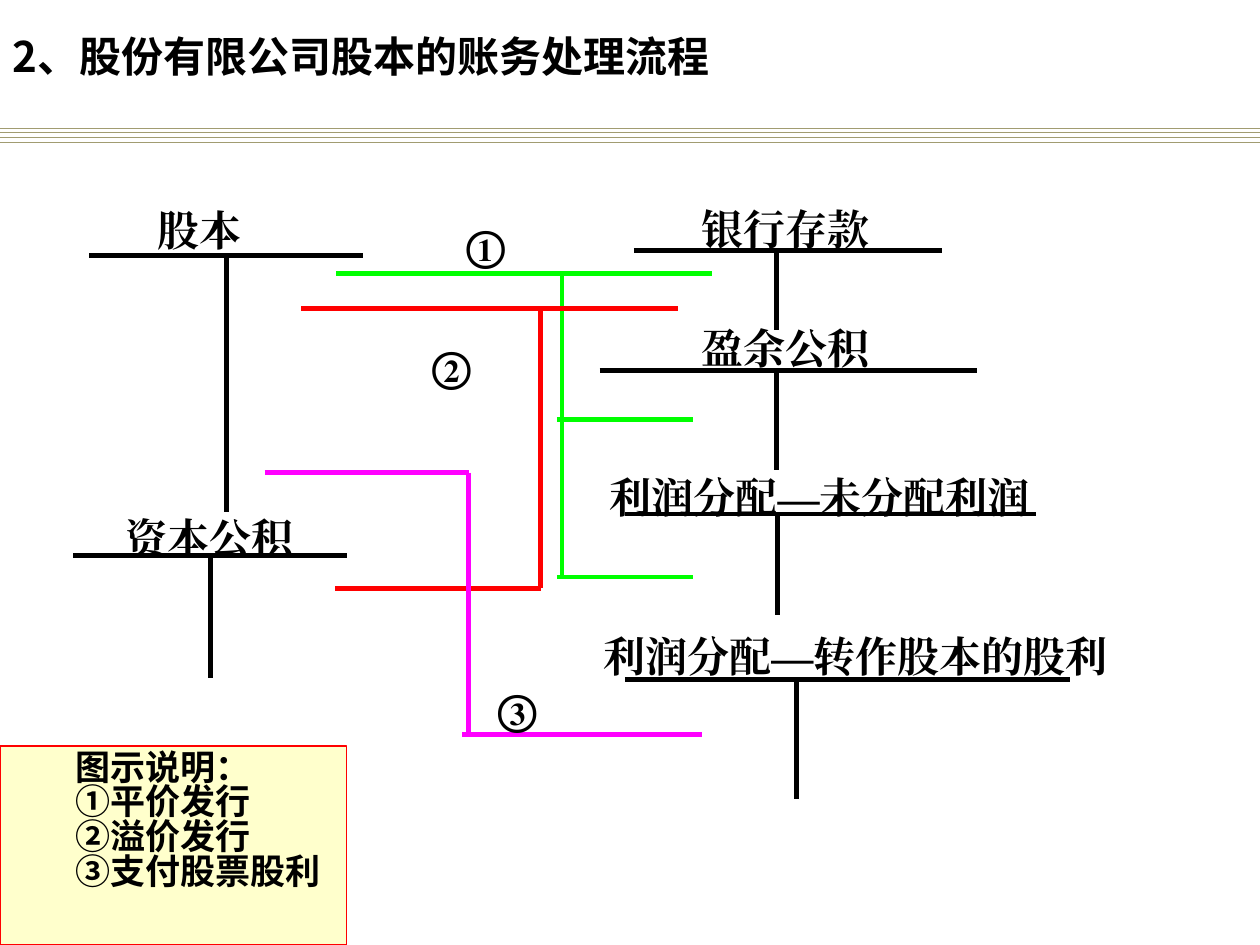
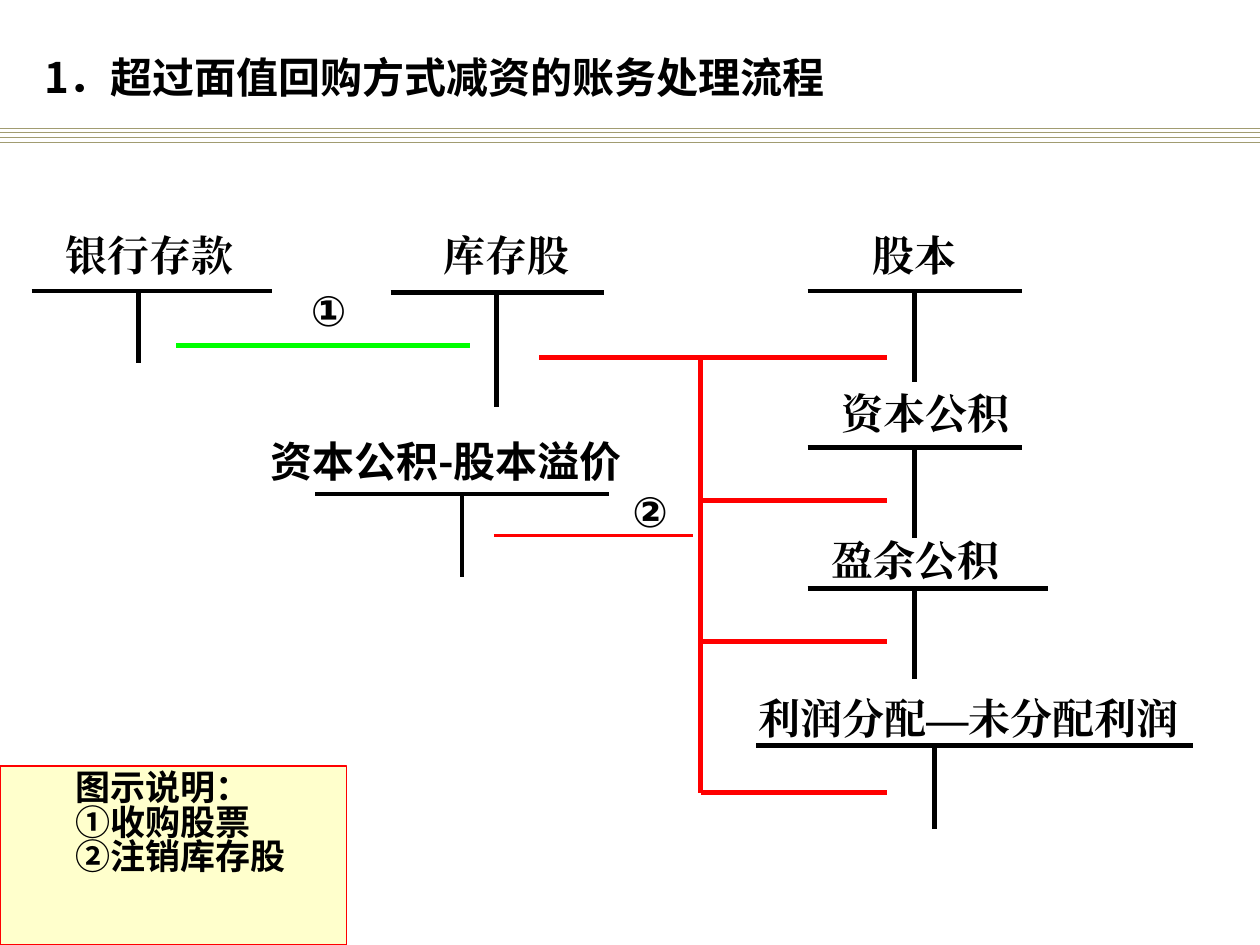
from dataclasses import dataclass
from itertools import pairwise

from lxml import etree
from pptx import Presentation
from pptx import util as u
from pptx.dml.color import RGBColor
from pptx.enum import lang, shapes, text
from pptx.oxml import ns

Inches = u.Inches


@dataclass(frozen=True)
class Theme:
    ink: str = "000000"
    band: str = "A19C71"
    par: str = "00FF00"
    premium: str = "FF0000"
    dividend: str = "FF00FF"
    note_fill: str = "FFFFCC"
    note_line: str = "FF0000"
    sans: str = "Noto Sans CJK SC"
    serif: str = "Times New Roman"
    latin: str = "Arial"
    label_size: int = 24
    note_size: int = 20
    thick: float = 2.75
    medium: float = 2.25
    thin: float = 0.75


class Deck:
    def __init__(self, theme):
        self.theme = theme
        self.prs = Presentation()
        self.prs.slide_width, self.prs.slide_height = Inches(10), Inches(7.5)
        self.layout = self.prs.slide_layouts.get_by_name("Title Only")
        self.s = None

    def add_slide(self, title, left, top, width, height):
        self.s = self.prs.slides.add_slide(self.layout)
        if len(self.prs.slides) == 1:
            self.add_band()
        sp = self.s.shapes.title
        sp.left, sp.top = Inches(left), Inches(top)
        sp.width, sp.height = Inches(width), Inches(height)
        tf = sp.text_frame
        tf.vertical_anchor = text.MSO_ANCHOR.TOP
        tf.auto_size = text.MSO_AUTO_SIZE.NONE
        p = tf.paragraphs[0]
        p.alignment = text.PP_ALIGN.LEFT
        p.line_spacing = 0.86
        self.run(p, title, self.theme.label_size, self.theme.sans)

    def add_band(self):
        """Put the rules under the title on the layout that all slides share."""
        for y in (1.02, 1.05, 1.09, 1.13):
            rule = self.line(self.theme.band, (0, y), (10, y), self.theme.thin)
            self.layout.shapes.element.append(rule.element)

    def run(self, p, words, size, font, east_asian=None):
        r = p.add_run()
        r.text = words
        r.font.size, r.font.bold, r.font.name = u.Pt(size), True, font
        r.font.color.rgb = RGBColor.from_string(self.theme.ink)
        r.font.language_id = lang.MSO_LANGUAGE_ID.SIMPLIFIED_CHINESE
        ea = etree.SubElement(r._r.get_or_add_rPr(), ns.qn("a:ea"))
        ea.set("typeface", east_asian or font)

    def line(self, colour, start, end, weight):
        ends = [Inches(v) for v in (*start, *end)]
        c = self.s.shapes.add_connector(shapes.MSO_CONNECTOR.STRAIGHT, *ends)
        c.line.color.rgb = RGBColor.from_string(colour)
        c.line.width = u.Pt(weight)
        etree.SubElement(c.element.spPr, ns.qn("a:effectLst"))
        return c

    def flow(self, colour, *points, weight=None):
        """Join the points in turn with straight lines."""
        for start, end in pairwise(points):
            self.line(colour, start, end, weight or self.theme.thick)

    def label(self, words, left, top, width, height, font=None, align=text.PP_ALIGN.LEFT):
        sp = self.s.shapes.add_textbox(*map(Inches, (left, top, width, height)))
        tf = sp.text_frame
        tf.word_wrap = True
        tf.vertical_anchor = text.MSO_ANCHOR.MIDDLE
        p = tf.paragraphs[0]
        p.alignment = align
        self.run(p, words, self.theme.label_size, font or self.theme.serif)

    def t_account(self, name, box, bar, stem, weight=None, **label_style):
        """bar is (left, right, y) and stem is (x, bottom)."""
        left, right, y = bar
        x, bottom = stem
        self.label(name, *box, **label_style)
        self.flow(self.theme.ink, (left, y), (right, y), weight=weight)
        self.flow(self.theme.ink, (x, y), (x, bottom), weight=weight)

    def note(self, top, *lines):
        """Explain the numbered flows in a box at the lower left corner."""
        t = self.theme
        sp = self.s.shapes.add_shape(shapes.MSO_SHAPE.RECTANGLE, 0, Inches(top),
                                     Inches(2.75), Inches(7.5 - top))
        sp.shadow.inherit = False
        sp.fill.solid()
        sp.fill.fore_color.rgb = RGBColor.from_string(t.note_fill)
        sp.line.color.rgb = RGBColor.from_string(t.note_line)
        sp.line.width = u.Pt(t.thin)
        tf = sp.text_frame
        tf.word_wrap = True
        tf.vertical_anchor = text.MSO_ANCHOR.TOP
        tf.margin_left = Inches(0.6)
        for i, words in enumerate(("图示说明：", *lines)):
            p = tf.add_paragraph() if i else tf.paragraphs[0]
            p.alignment = text.PP_ALIGN.LEFT
            p.line_spacing = 0.83
            self.run(p, words, t.note_size, t.latin, t.sans)


def share_capital_slide(deck):
    t = deck.theme
    deck.add_slide("2、股份有限公司股本的账务处理流程", 0, 0.25, 9.5, 0.75)
    deck.note(5.92, "①平价发行", "②溢价发行", "③支付股票股利")

    for name, box, bar, stem in (
        ("股本", (1.15, 1.59, 1.63, 0.47), (0.71, 2.88, 2.03), (1.8, 4.06)),
        ("资本公积", (0.9, 4.03, 1.9, 0.48), (0.58, 2.75, 4.41), (1.67, 5.38)),
        ("银行存款", (5.47, 1.58, 2.17, 0.47), (5.03, 7.48, 1.99), (6.16, 2.62)),
        ("盈余公积", (5.47, 2.52, 1.9, 0.48), (4.76, 7.75, 2.94), (6.16, 3.73)),
        ("利润分配—未分配利润", (4.74, 3.71, 3.8, 0.47), (4.96, 8.22, 4.08), (6.17, 4.88)),
        ("利润分配—转作股本的股利", (4.69, 4.96, 4.34, 0.48), (4.96, 8.49, 5.39), (6.32, 6.34)),
    ):
        deck.t_account(name, box, bar, stem)

    deck.flow(t.par, (2.67, 2.17), (5.65, 2.17))
    deck.flow(t.par, (4.46, 2.17), (4.46, 4.56))
    for y in (3.33, 4.58):
        deck.flow(t.par, (4.42, y), (5.5, y))
    deck.flow(t.premium, (2.39, 2.45), (5.38, 2.45))
    deck.flow(t.premium, (4.29, 2.45), (4.29, 4.67), (2.66, 4.67))
    deck.flow(t.dividend, (2.1, 3.75), (3.72, 3.75), (3.72, 5.81))
    deck.flow(t.dividend, (3.67, 5.83), (5.57, 5.83))
    for number, left, top in (("①", 3.6, 1.71), ("②", 3.33, 2.67), ("③", 3.85, 5.39)):
        deck.label(number, left, top, 0.81, 0.47)


def buyback_slide(deck):
    t = deck.theme
    deck.add_slide("1．超过面值回购方式减资的账务处理流程", 0.25, 0.42, 9.25, 0.67)
    deck.note(6.08, "①收购股票", "②注销库存股")

    for name, (left, top, width), bar, stem in (
        ("银行存款", (0.42, 1.75, 1.7), (0.25, 2.16, 2.31), (1.1, 2.88)),
        ("库存股", (3.42, 1.75, 1.27), (3.1, 4.79, 2.32), (3.94, 3.23)),
        ("股本", (6.83, 1.75, 1.06), (6.41, 8.11, 2.31), (7.26, 3.03)),
        ("资本公积", (6.58, 3, 1.86), (6.41, 8.11, 3.55), (7.26, 4.27)),
        ("盈余公积", (6.5, 4.17, 1.77), (6.41, 8.32, 4.67), (7.26, 5.39)),
        ("利润分配—未分配利润", (5.92, 5.42, 3.75), (6, 9.47, 5.92), (7.42, 6.58)),
    ):
        deck.t_account(name, (left, top, width, 0.55), bar, stem)
    deck.t_account("资本公积-股本溢价", (1.75, 3.41, 3.58, 0.5), (2.5, 4.83, 3.92),
                   (3.67, 4.58), t.medium, font=t.sans, align=text.PP_ALIGN.CENTER)

    deck.flow(t.par, (1.4, 2.74), (3.73, 2.74))
    deck.flow(t.premium, (4.28, 2.84), (7.04, 2.84))
    deck.flow(t.premium, (5.56, 2.84), (5.56, 6.29))
    for y in (3.97, 5.09, 6.29):
        deck.flow(t.premium, (5.56, y), (7.04, y))
    deck.flow(t.premium, (3.92, 4.25), (5.5, 4.25), weight=t.medium)
    for number, left, top in (("①", 2.37, 2.18), ("②", 4.92, 3.78)):
        deck.label(number, left, top, 0.64, 0.55, font=t.latin)


def main():
    deck = Deck(Theme())
    share_capital_slide(deck)
    buyback_slide(deck)
    deck.prs.save("out.pptx")


if __name__ == "__main__":
    main()
